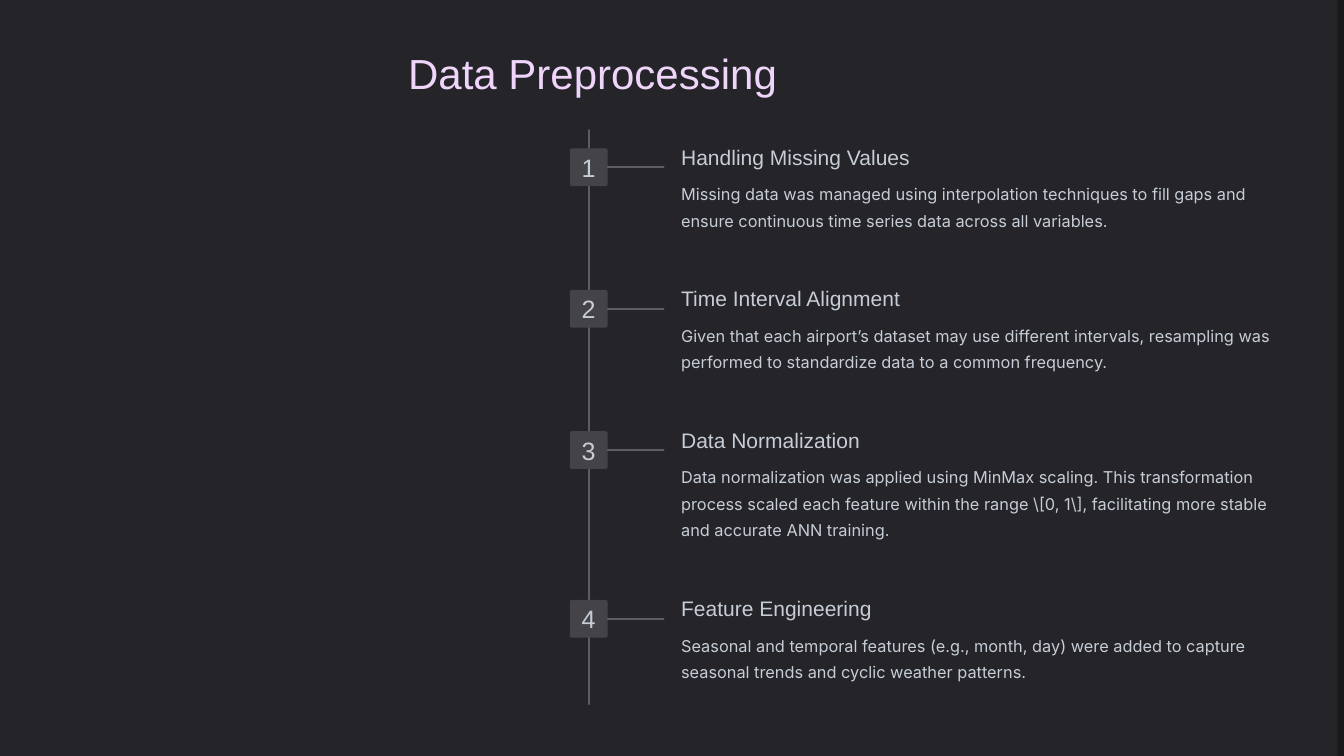
from pptx import Presentation
from pptx.dml.color import RGBColor
from pptx.enum.shapes import MSO_CONNECTOR, MSO_SHAPE
from pptx.enum.text import MSO_ANCHOR, MSO_AUTO_SIZE, PP_ALIGN
from pptx.oxml.ns import qn
from pptx.util import Pt
from lxml import etree

PX = 9525  # EMU per px, slide is 1920 x 1080
STRAIGHT = MSO_CONNECTOR.STRAIGHT
RECT, ROUND = MSO_SHAPE.RECTANGLE, MSO_SHAPE.ROUNDED_RECTANGLE
TOP, MIDDLE = MSO_ANCHOR.TOP, MSO_ANCHOR.MIDDLE
LEFT, CENTER = PP_ALIGN.LEFT, PP_ALIGN.CENTER
FIXED = MSO_AUTO_SIZE.NONE

COLORS = {
    "panel": "242429",
    "edge": "181719",
    "line": "5C5C61",
    "badge": "434348",
    "title": "EFD5FA",
    "text": "C7CDD6",
}
COLORS = {name: RGBColor.from_string(code) for name, code in COLORS.items()}

STEPS = [
    (212, "Handling Missing Values",
     "Missing data was managed using interpolation techniques to fill gaps and "
     "ensure continuous time series data across all variables."),
    (414, "Time Interval Alignment",
     "Given that each airport’s dataset may use different intervals, resampling was "
     "performed to standardize data to a common frequency."),
    (616, "Data Normalization",
     "Data normalization was applied using MinMax scaling. This transformation "
     "process scaled each feature within the range \\[0, 1\\], facilitating more "
     "stable and accurate ANN training."),
    (857, "Feature Engineering",
     "Seasonal and temporal features (e.g., month, day) were added to capture "
     "seasonal trends and cyclic weather patterns."),
]
AXIS, SIDE = 841, 54  # timeline centre and badge size
TEXT_X, TEXT_W = 973, 862


def write(shape, text, font, size, lead, color, align=LEFT, anchor=TOP, inset=0):
    frame = shape.text_frame
    frame.word_wrap = True
    frame.auto_size = FIXED
    frame.vertical_anchor = anchor
    frame.margin_left = frame.margin_right = frame.margin_bottom = 0
    frame.margin_top = inset * PX
    para = frame.paragraphs[0]
    para.text = text
    para.alignment = align
    para.line_spacing = Pt(lead)
    para.font.name = font
    para.font.size = Pt(size)
    para.font.color.rgb = COLORS[color]


def draw_line(x1, y1, x2, y2):
    line = slide.shapes.add_connector(STRAIGHT, x1 * PX, y1 * PX, x2 * PX, y2 * PX)
    line.line.color.rgb = COLORS["line"]
    line.line.width = 3 * PX
    line.line._get_or_add_ln().set("cap", "rnd")
    etree.SubElement(line._element.spPr, qn("a:effectLst"))
    return line


prs = Presentation()
prs.slide_width, prs.slide_height = 1920 * PX, 1080 * PX
slide = prs.slides.add_slide(prs.slide_layouts[5])

# Background with a darker strip on the right edge
back = slide.background.fill
back.solid()
back.fore_color.rgb = COLORS["panel"]
edge = slide.shapes.add_shape(RECT, 1911 * PX, 0, 9 * PX, 1080 * PX)
edge.shadow.inherit = False
edge.fill.solid()
edge.fill.fore_color.rgb = COLORS["edge"]
edge.line.fill.background()

# Title
title = slide.shapes.title
title.left, title.top, title.width, title.height = 583 * PX, 65 * PX, 604 * PX, 81 * PX
write(title, "Data Preprocessing", "Arial", 45, 56.2, "title")

# Timeline
draw_line(AXIS, 186, AXIS, 1006)

# Steps: badge, branch, heading and body
for num, (top, head, body) in enumerate(STEPS, 1):
    badge = slide.shapes.add_shape(
        ROUND, (AXIS - SIDE // 2) * PX, top * PX, SIDE * PX, SIDE * PX)
    badge.adjustments[0] = 0.06
    badge.shadow.inherit = False
    badge.fill.solid()
    badge.fill.fore_color.rgb = COLORS["badge"]
    badge.line.fill.background()
    write(badge, str(num), "Arial", 26.9, 26.9, "text", CENTER, MIDDLE, 7)

    mid = top + SIDE // 2
    branch = draw_line(AXIS + SIDE // 2, mid, 948, mid)
    branch.begin_connect(badge, 3)

    box = slide.shapes.add_textbox(TEXT_X * PX, (top - 7) * PX, TEXT_W * PX, 40 * PX)
    write(box, head, "Arial", 22.5, 28.1, "text")
    tall = 124 if len(body) > 150 else 85
    box = slide.shapes.add_textbox(TEXT_X * PX, (top + 41) * PX, TEXT_W * PX, tall * PX)
    write(box, body, "Inter", 17.5, 28.7, "text")

prs.save("out.pptx")
